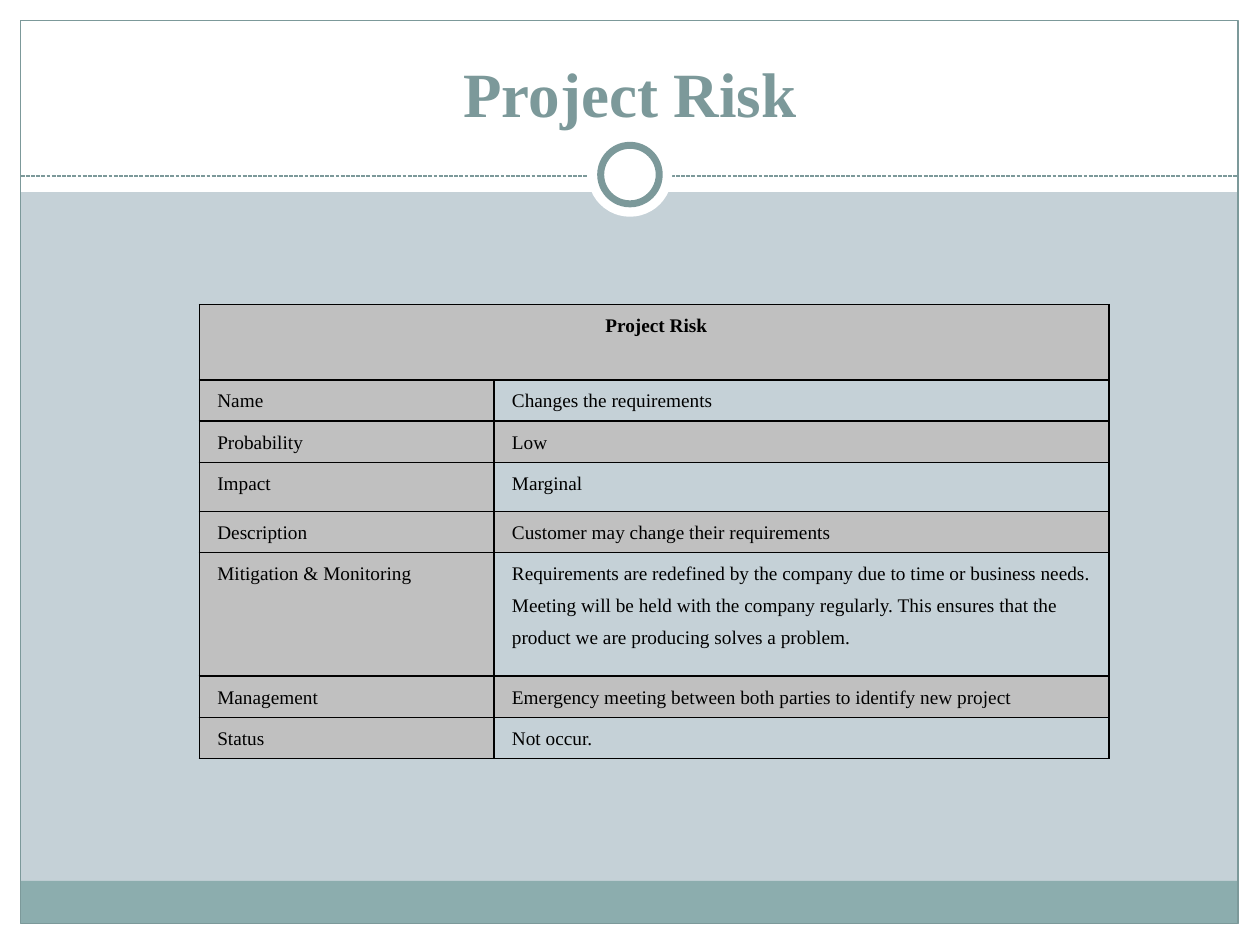
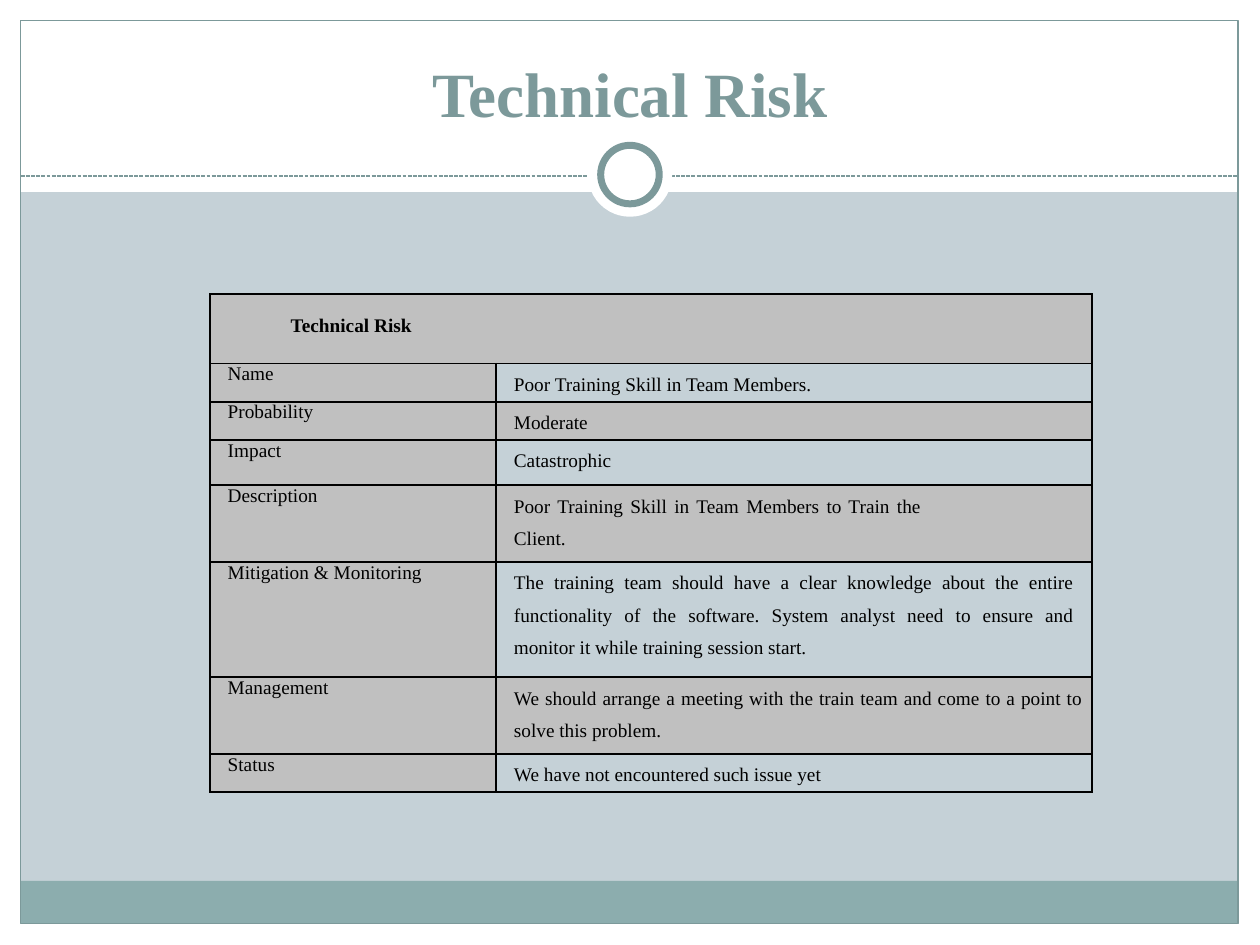
from dataclasses import dataclass
from typing import Optional

from lxml.etree import SubElement
from pptx import Presentation
from pptx.dml.color import RGBColor
from pptx.enum.dml import MSO_LINE_DASH_STYLE as Dash
from pptx.enum.shapes import MSO_CONNECTOR as Connector, MSO_SHAPE as Preset
from pptx.enum.text import MSO_ANCHOR as Anchor, MSO_AUTO_SIZE as AutoSize, PP_ALIGN as Align
from pptx.oxml import parse_xml
from pptx.oxml.ns import nsdecls, qn
from pptx.util import Cm, Pt


@dataclass(frozen=True)
class Theme:
    font: str = "Times New Roman"
    background: str = "C5D1D7"
    white: str = "FFFFFF"
    accent: str = "7C999A"
    footer: str = "8CADAE"
    label: str = "C0C0C0"
    ink: str = "000000"
    title_size: float = 36
    table_size: float = 11
    hairline: float = 0.75
    ring: float = 4
    border: float = 1


@dataclass(frozen=True)
class Band:
    left: float
    top: float
    width: float
    height: float
    fill: Optional[str] = None
    line: Optional[str] = None
    weight: float = 0
    preset: Preset = Preset.RECTANGLE


@dataclass(frozen=True)
class Risk:
    name: str
    value: str
    height: float
    right_indent: float = 0


@dataclass(frozen=True)
class RiskSlide:
    title: str
    heading: str
    left: float
    top: float
    columns: tuple[float, float]
    heading_height: float
    risks: list[Risk]
    heading_align: Align = Align.CENTER
    heading_spacing: float = 1.5
    tabs: tuple = ()
    name_spacing: float = 1.5
    value_align: Align = Align.LEFT


THEME = Theme()
PADDING = Cm(0.18)

BANDS = [
    Band(0, 18.62, 25.4, 0.43, THEME.white),
    Band(0, 0, 25.4, 3.87, THEME.white),
    Band(0, 0, 0.42, 19.05, THEME.white),
    Band(24.98, 0, 0.42, 19.05, THEME.white),
    Band(0.42, 17.76, 24.54, 0.86, THEME.footer),
    Band(0.42, 0.42, 24.54, 18.2, None, THEME.accent, THEME.hairline),
]
CIRCLES = [
    Band(11.85, 2.67, 1.7, 1.7, THEME.white, preset=Preset.OVAL),
    Band(12.11, 2.93, 1.18, 1.18, THEME.white, THEME.accent, THEME.ring, Preset.OVAL),
]

SLIDES = [
    RiskSlide(
        "Project Risk", "Project Risk ", 4.02, 6.14, (5.94, 12.4), 1.52,
        [
            Risk("Name", "Changes the requirements", 0.83),
            Risk("Probability", "Low", 0.83),
            Risk("Impact", "Marginal", 0.99),
            Risk("Description", "Customer may change their requirements", 0.83),
            Risk("Mitigation & Monitoring",
                 "Requirements are redefined by the company due to time or business needs. "
                 "Meeting will be held with the company regularly. This ensures that the "
                 "product we are producing solves a problem.", 2.49),
            Risk("Management",
                 "Emergency meeting between both parties to identify new project", 0.83),
            Risk("Status", "Not occur.", 0.83),
        ],
    ),
    RiskSlide(
        "Technical Risk", "\tTechnical Risk \t", 4.23, 5.93, (5.77, 12.01), 1.4,
        [
            Risk("Name", "Poor Training Skill in Team Members.", 0.77),
            Risk("Probability", "Moderate ", 0.77),
            Risk("Impact", "Catastrophic ", 0.91),
            Risk("Description",
                 "Poor Training Skill in Team Members to Train the Client.", 1.55, 3.26),
            Risk("Mitigation & Monitoring",
                 "The training team should have a clear knowledge about the entire "
                 "functionality of the software. System analyst need to ensure and "
                 "monitor it while training session start.", 2.32, 0.18),
            Risk("Management",
                 "We should arrange a meeting with the train team and come to a point to "
                 "solve this problem.", 1.55),
            Risk("Status", "We have not encountered such issue yet", 0.77),
        ],
        heading_align=Align.LEFT, heading_spacing=2, tabs=((8.03, "ctr"), (10.29, "l")),
        name_spacing=1, value_align=Align.JUSTIFY,
    ),
]


def rgb(color: str) -> RGBColor:
    return RGBColor.from_string(color)


def write(frame, text: str, *, size: float = THEME.table_size, color: str = THEME.ink,
          bold: bool = False, align: Align = Align.LEFT, spacing: float = 1,
          before: float = 0, indent: int = 0, right_indent: float = 0, tabs: tuple = ()) -> None:
    """Fill a text frame with one formatted paragraph."""
    paragraph = frame.paragraphs[0]
    paragraph.alignment = align
    paragraph.line_spacing = spacing
    paragraph.space_before = Pt(before)
    run = paragraph.add_run()
    run.text = text
    font = run.font
    font.name, font.size, font.bold = THEME.font, Pt(size), bold
    font.color.rgb = rgb(color)
    properties = paragraph._p.get_or_add_pPr()
    properties.set("marL", str(indent))
    properties.set("marR", str(Cm(right_indent)))
    properties.set("indent", "0")
    if tabs:
        stops = SubElement(properties, qn("a:tabLst"))
        for position, kind in tabs:
            SubElement(stops, qn("a:tab"), pos=str(Cm(position)), algn=kind)


def draw_band(shapes, band: Band):
    shape = shapes.add_shape(band.preset, Cm(band.left), Cm(band.top),
                             Cm(band.width), Cm(band.height))
    shape.shadow.inherit = False
    if band.fill:
        shape.fill.solid()
        shape.fill.fore_color.rgb = rgb(band.fill)
    else:
        shape.fill.background()
    if band.line:
        shape.line.color.rgb = rgb(band.line)
        shape.line.width = Pt(band.weight)
    else:
        shape.line.fill.background()
    return shape


def draw_divider(shapes):
    divider = shapes.add_connector(Connector.STRAIGHT, Cm(0.42), Cm(3.55), Cm(24.96), Cm(3.55))
    divider.line.color.rgb = rgb(THEME.accent)
    divider.line.width = Pt(THEME.hairline)
    divider.line.dash_style = Dash.SQUARE_DOT
    SubElement(divider._element.spPr, qn("a:effectLst"))
    return divider


def decorate_layout(layout, shapes) -> None:
    """Draw the shared decoration and move it to the layout."""
    layout.background.fill.solid()
    layout.background.fill.fore_color.rgb = rgb(THEME.background)
    decoration = [draw_band(shapes, band) for band in BANDS]
    decoration.append(draw_divider(shapes))
    decoration += [draw_band(shapes, circle) for circle in CIRCLES]
    for part in decoration:
        layout.shapes.element.append(part._element)


def format_cell(cell, fill: Optional[str]) -> None:
    cell.margin_left = cell.margin_right = PADDING
    cell.margin_top = cell.margin_bottom = 0
    if fill:
        cell.fill.solid()
        cell.fill.fore_color.rgb = rgb(fill)
    else:
        cell.fill.background()
    for position, side in enumerate(("lnL", "lnR", "lnT", "lnB")):
        cell._tc.get_or_add_tcPr().insert(position, parse_xml(
            f'<a:{side} {nsdecls("a")} w="{Pt(THEME.border)}"><a:solidFill>'
            f'<a:srgbClr val="{THEME.ink}"/></a:solidFill></a:{side}>'))


def add_title(slide, text: str) -> None:
    title = slide.shapes.title
    title.left, title.top, title.width, title.height = Cm(0.85), Cm(0.64), Cm(23.7), Cm(2.11)
    title.text_frame.vertical_anchor = Anchor.BOTTOM
    title.text_frame.auto_size = AutoSize.NONE
    write(title.text_frame, text, size=THEME.title_size, color=THEME.accent,
          bold=True, align=Align.CENTER)


def add_risk_table(slide, content: RiskSlide) -> None:
    heights = [content.heading_height] + [risk.height for risk in content.risks]
    table = slide.shapes.add_table(
        len(heights), 2, Cm(content.left), Cm(content.top),
        Cm(sum(content.columns)), Cm(sum(heights))).table
    table.first_row = table.horz_banding = False
    for column, width in zip(table.columns, content.columns):
        column.width = Cm(width)
    for row, height in zip(table.rows, heights):
        row.height = Cm(height)

    # Heading across both columns
    heading = table.cell(0, 0)
    heading.merge(table.cell(0, 1))
    for cell in table.rows[0].cells:
        format_cell(cell, THEME.label)
    write(heading.text_frame, content.heading, bold=True, align=content.heading_align,
          spacing=content.heading_spacing, before=12, indent=PADDING, tabs=content.tabs)

    # Names are always shaded, values on every other row
    for number, risk in enumerate(content.risks, start=1):
        name, value = table.rows[number].cells
        format_cell(name, THEME.label)
        format_cell(value, THEME.label if number % 2 == 0 else None)
        write(name.text_frame, risk.name, spacing=content.name_spacing, indent=PADDING)
        write(value.text_frame, risk.value, align=content.value_align, spacing=1.5,
              indent=PADDING, right_indent=risk.right_indent)


def main() -> None:
    deck = Presentation()
    deck.slide_width, deck.slide_height = Cm(25.4), Cm(19.05)
    layout = deck.slide_layouts[5]
    for number, content in enumerate(SLIDES):
        slide = deck.slides.add_slide(layout)
        if number == 0:
            decorate_layout(layout, slide.shapes)
        add_title(slide, content.title)
        add_risk_table(slide, content)
    deck.save("out.pptx")


if __name__ == "__main__":
    main()
